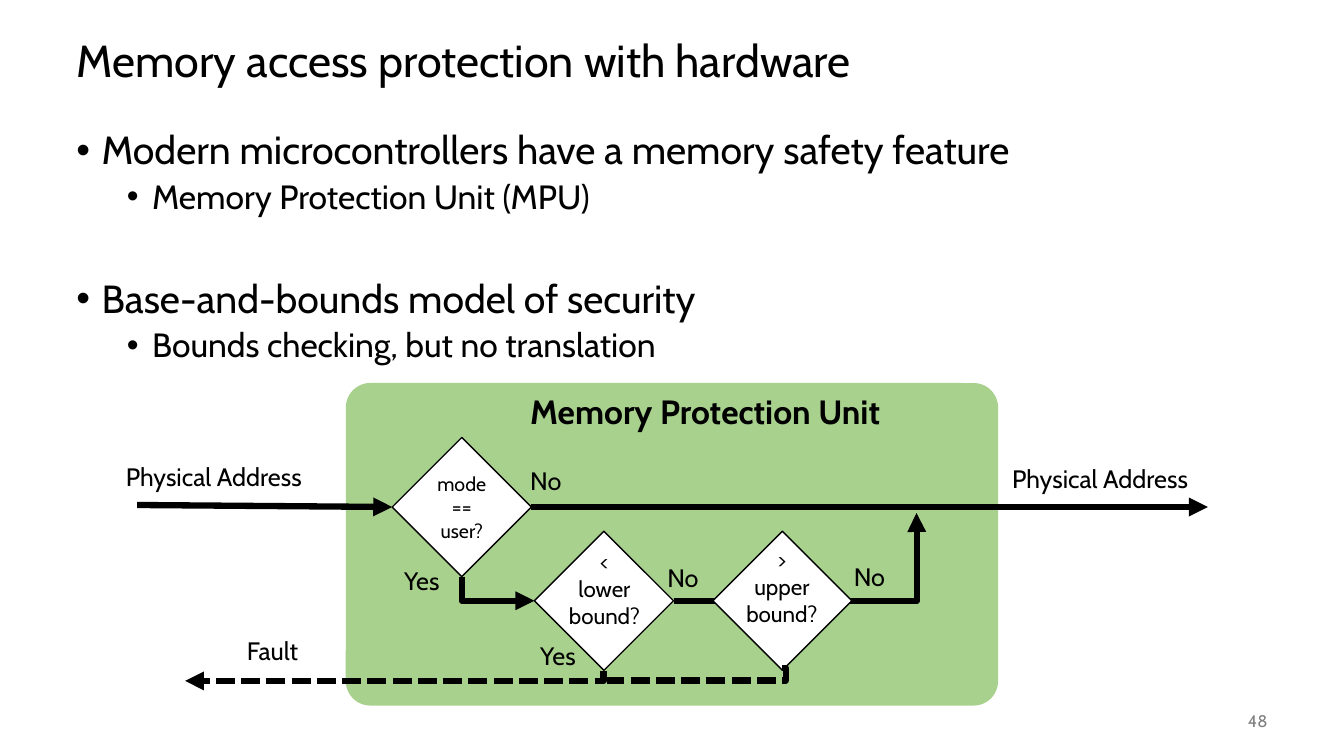
import pptx
import pptx.util
import pptx.dml.color
import pptx.enum.dml
import pptx.enum.shapes
import pptx.enum.text
import pptx.oxml.ns
from lxml import etree

PX = 9144  # 100 px to the inch
FONT = "Cabin"
hue = pptx.dml.color.RGBColor.from_string
qn = pptx.oxml.ns.qn
Pt = pptx.util.Pt
Form = pptx.enum.shapes.MSO_SHAPE
Link = pptx.enum.shapes.MSO_CONNECTOR
Align = pptx.enum.text.PP_ALIGN
Anchor = pptx.enum.text.MSO_ANCHOR

deck = pptx.Presentation()
deck.slide_width, deck.slide_height = 1333 * PX, 750 * PX
slide = deck.slides.add_slide(deck.slide_layouts[5])
shapes = slide.shapes


def write(para, text, size=18, color="000000", bold=False, align=Align.LEFT):
    para.text = text
    para.alignment = align
    font = para.font
    font.name, font.size, font.bold = FONT, Pt(size), bold
    font.color.rgb = hue(color)


def wire(ends, kind="line", turn=0, bend=None, dash=False, head=True):
    style = Link.STRAIGHT if kind == "line" else Link.ELBOW
    line = shapes.add_connector(style, *[n * PX for n in ends])
    line.line.color.rgb = hue("000000")
    line.line.width = Pt(4.5)
    if dash:
        line.line.dash_style = pptx.enum.dml.MSO_LINE.SQUARE_DOT
    props = line._element.spPr
    if head:
        etree.SubElement(props.find(qn("a:ln")), qn("a:tailEnd"), type="triangle")
    etree.SubElement(props, qn("a:effectLst"))
    if turn:
        props.find(qn("a:xfrm")).set("rot", str(turn * 60000))
    geom = props.find(qn("a:prstGeom"))
    geom.set("prst", kind)
    if bend is not None:
        etree.SubElement(geom.find(qn("a:avLst")), qn("a:gd"),
                         name="adj1", fmla=f"val {bend}")
    return line


# Title
title = shapes.title
title.left, title.top, title.width, title.height = [n * PX for n in (66, 25, 1200, 75)]
title.text_frame.vertical_anchor = Anchor.MIDDLE
para = title.text_frame.paragraphs[0]
write(para, "Memory access protection with hardware", size=32)
para.line_spacing = 0.9

# Bullets: text, level, space before
points = [
    ("Modern microcontrollers have a memory safety feature", 0, 0),
    ("Memory Protection Unit (MPU)", 1, 5),
    ("Base-and-bounds model of security", 0, 45),
    ("Bounds checking, but no translation", 1, 5),
]
body = shapes.add_textbox(*[n * PX for n in (66, 125, 1200, 550)]).text_frame
body.word_wrap = True
for i, (text, level, gap) in enumerate(points):
    para = body.add_paragraph() if i else body.paragraphs[0]
    para.level = level
    para.line_spacing, para.space_before = 0.9, Pt(gap)
    props = para._p.get_or_add_pPr()
    props.set("marL", str((25 + 50 * level) * PX))
    props.set("indent", str(-25 * PX))
    etree.SubElement(props, qn("a:buFont"), typeface="Arial")
    etree.SubElement(props, qn("a:buChar"), char="•")
    write(para, text, size=28 - 4 * level)

# Green panel
panel = shapes.add_shape(Form.ROUNDED_RECTANGLE,
                         *[n * PX for n in (343, 380, 647, 320)])
panel.adjustments[0] = 0.076
panel.shadow.inherit = False
panel.fill.solid()
panel.fill.fore_color.rgb = hue("A9D18E")
panel.line.fill.background()

# Bent wires under the diamonds
wire((506, 548, 482, 620), "bentConnector2", turn=270)
wire((668, 596, 909, 509), "bentConnector3", bend=100100)
wire((386, 463, 396, 878), "bentConnector2", turn=90, dash=True)

# Decision diamonds
tests = []
for x, y in [(389, 434), (530, 527), (707, 527)]:
    test = shapes.add_shape(Form.DIAMOND, x * PX, y * PX, 138 * PX, 138 * PX)
    test.shadow.inherit = False
    test.fill.solid()
    test.fill.fore_color.rgb = hue("FFFFFF")
    test.line.color.rgb = hue("000000")
    test.line.width = Pt(1)
    tests.append(test)
mode = tests[0]
mode.text_frame.vertical_anchor = Anchor.MIDDLE
mode.text_frame.word_wrap = True
write(mode.text_frame.paragraphs[0], "mode == user?", size=14, align=Align.CENTER)

# Wires that meet the diamonds
wire((136, 501, 389, 503)).end_connect(mode, 1)
wire((527, 503, 1198, 503)).begin_connect(mode, 3)
wire((602, 675, 776, 663), "bentConnector3", turn=180, bend=-1900,
     dash=True, head=False)

# Labels: text, box, format
mid = dict(size=16, align=Align.CENTER)
labels = [
    ("Physical Address", (115, 453, 204, 40), {}),
    ("Physical Address", (994, 455, 204, 40), {}),
    ("Yes", (391, 556, 67, 40), {}),
    ("No", (516, 457, 67, 40), {}),
    ("Memory Protection Unit", (516, 383, 474, 50), dict(size=24, bold=True)),
    ("<\nlower\nbound?", (544, 539, 111, 91), mid),
    ("No", (652, 553, 67, 40), {}),
    ("Yes", (526, 630, 67, 40), {}),
    ("Fault", (235, 625, 105, 40), {}),
    ("No", (837, 552, 67, 40), {}),
    (">\nupper\nbound?", (720, 537, 111, 91), mid),
    ("48", (1167, 695, 100, 40), dict(size=12, color="808080", align=Align.RIGHT)),
]
for text, box, style in labels:
    frame = shapes.add_textbox(*[n * PX for n in box]).text_frame
    frame.word_wrap = True
    if text == "48":
        frame.vertical_anchor = Anchor.MIDDLE
    write(frame.paragraphs[0], text, **style)

deck.save("out.pptx")
